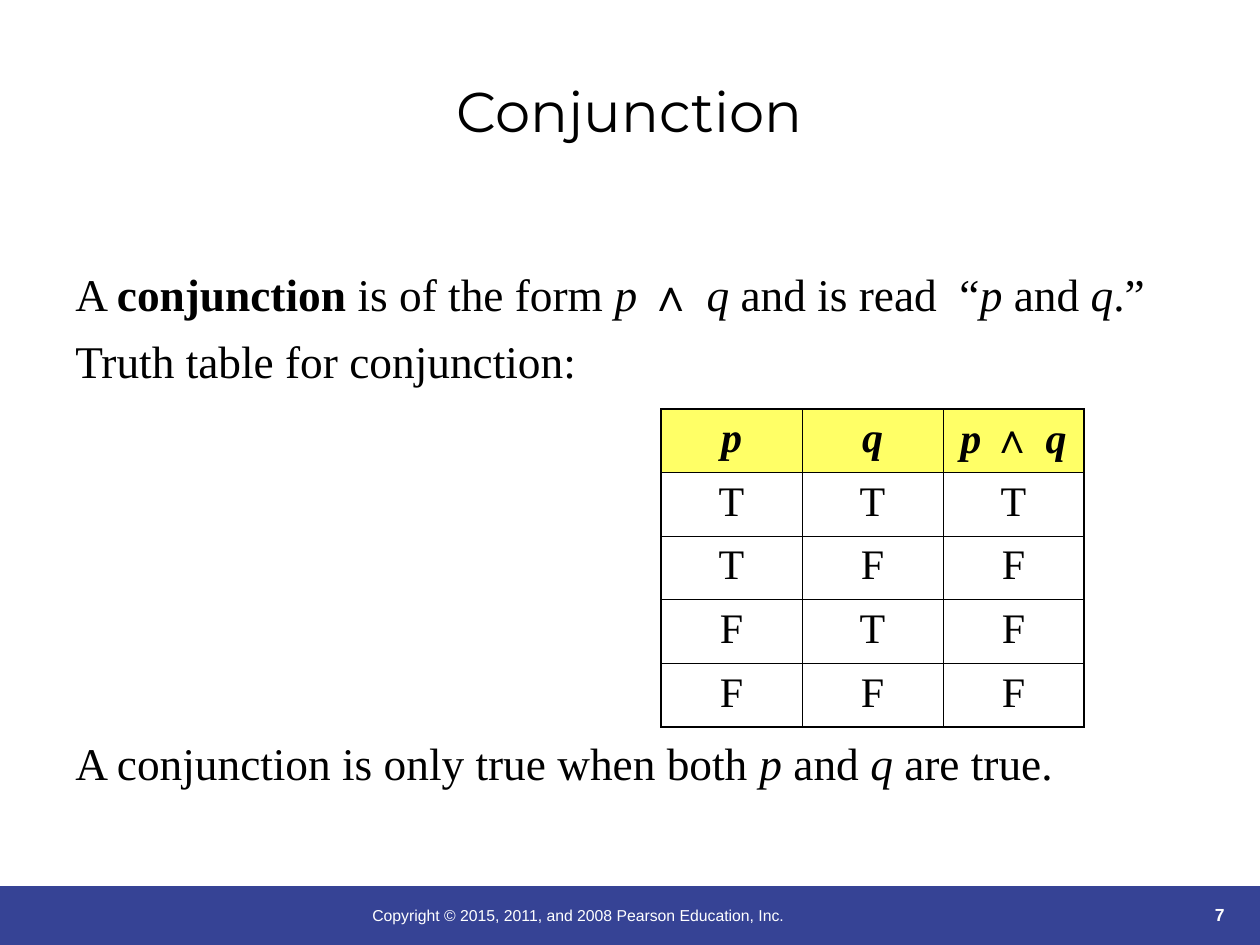
"""Build the slide on logical conjunction with its truth table."""
from dataclasses import dataclass
from typing import Optional

from lxml.etree import SubElement as Sub
from pptx import Presentation
from pptx.dml.color import RGBColor as Rgb
from pptx.enum.shapes import MSO_SHAPE as Shape
from pptx.enum.text import MSO_ANCHOR as Anchor, PP_ALIGN as Align
from pptx.oxml.ns import qn
from pptx.util import Emu, Pt

SCALE = 914400 / 126
HUES = {"ink": "000000", "paper": "FFFFFF", "bar": "364395", "head": "FFFF66"}
SERIF = "Times New Roman"
THIN, THICK = 0.45, 1.08


@dataclass(frozen=True)
class Run:
    text: str
    bold: bool = False
    italic: bool = False
    font: Optional[str] = None


@dataclass(frozen=True)
class Para:
    runs: tuple[Run, ...]
    before: float = 0


@dataclass(frozen=True)
class Box:
    left: int
    top: int
    width: int
    height: int

    def emu(self) -> tuple[Emu, ...]:
        return tuple(px(n) for n in (self.left, self.top, self.width, self.height))


def px(count: int) -> Emu:
    return Emu(round(count * SCALE))


def plain(text: str) -> Para:
    return Para((Run(text),))


def var(name: str, bold: bool = False) -> Run:
    return Run(name, bold, True)


def wedge(bold: bool = False) -> tuple[Run, ...]:
    return var("p ", bold), Run("∧ ", bold, font="Arial"), var("q", bold)


def write(frame, *paras: Para, size: float, font: str = SERIF, hue: str = "ink",
          align=Align.LEFT, bold: bool = False) -> None:
    for num, para in enumerate(paras):
        line = frame.add_paragraph() if num else frame.paragraphs[0]
        line.alignment = align
        line.space_before = Pt(para.before)
        for item in para.runs:
            run = line.add_run()
            run.text = item.text
            run.font.name = item.font or font
            run.font.size = Pt(size)
            run.font.bold = bold or item.bold
            run.font.italic = item.italic
            run.font.color.rgb = Rgb.from_string(HUES[hue])


def label(slide, box: Box, *paras: Para, anchor=Anchor.TOP, **form) -> None:
    frame = slide.shapes.add_textbox(*box.emu()).text_frame
    frame.word_wrap = True
    frame.vertical_anchor = anchor
    write(frame, *paras, **form)


def edge(cell, side: str, width: float, rank: int) -> None:
    props = cell._tc.get_or_add_tcPr()
    line = Sub(props, qn(f"a:ln{side}"), w=str(Pt(width)))
    fill = Sub(line, qn("a:solidFill"))
    Sub(fill, qn("a:srgbClr"), val=HUES["ink"])
    props.insert(rank, line)


def grid(slide, box: Box, rows: list[list[Para]]) -> None:
    high, wide = len(rows), len(rows[0])
    table = slide.shapes.add_table(high, wide, *box.emu()).table
    table.first_row = table.horz_banding = False
    for row, paras in enumerate(rows):
        for col, para in enumerate(paras):
            cell = table.cell(row, col)
            write(cell.text_frame, para, size=24, align=Align.CENTER)
            if row:
                cell.fill.background()
            else:
                cell.fill.solid()
                cell.fill.fore_color.rgb = Rgb.from_string(HUES["head"])
            outer = {"L": col == 0, "R": col == wide - 1,
                     "T": row == 0, "B": row == high - 1}
            for rank, (side, rim) in enumerate(outer.items()):
                edge(cell, side, THICK if rim else THIN, rank)


def main() -> None:
    deck = Presentation()
    deck.slide_width, deck.slide_height = px(1260), px(945)
    slide = deck.slides.add_slide(deck.slide_layouts[6])

    bar = slide.shapes.add_shape(Shape.RECTANGLE, *Box(0, 886, 1260, 59).emu())
    bar.shadow.inherit = False
    bar.fill.solid()
    bar.fill.fore_color.rgb = Rgb.from_string(HUES["bar"])
    bar.line.fill.background()

    label(slide, Box(1121, 868, 116, 63), plain("7"), size=10, font="Arial",
          hue="paper", bold=True, align=Align.RIGHT, anchor=Anchor.BOTTOM)
    label(slide, Box(360, 900, 620, 45),
          plain("Copyright © 2015, 2011, and 2008 Pearson Education, Inc."),
          size=9, font="Arial", hue="paper")
    label(slide, Box(94, 32, 1071, 157), plain("Conjunction"), size=32,
          font="Montserrat", align=Align.CENTER, anchor=Anchor.MIDDLE)

    both = var("p"), Run(" and "), var("q")
    form = Para((Run("A "), Run("conjunction", True), Run(" is of the form "),
                 *wedge(), Run(" and is read  “"), *both, Run(".”")))
    intro = Para((Run("Truth table for conjunction:"),), 7)
    rule = Para((Run("A conjunction is only true when both "), *both,
                 Run(" are true.")), 199)
    label(slide, Box(63, 260, 1134, 570), form, intro, rule, size=25.9)

    head = [Para((var("p", True),)), Para((var("q", True),)), Para(wedge(True))]
    truth = [[plain("T" if fact else "F") for fact in (p, q, p and q)]
             for p in (True, False) for q in (True, False)]
    grid(slide, Box(661, 409, 423, 318), [head, *truth])
    deck.save("out.pptx")


if __name__ == "__main__":
    main()
